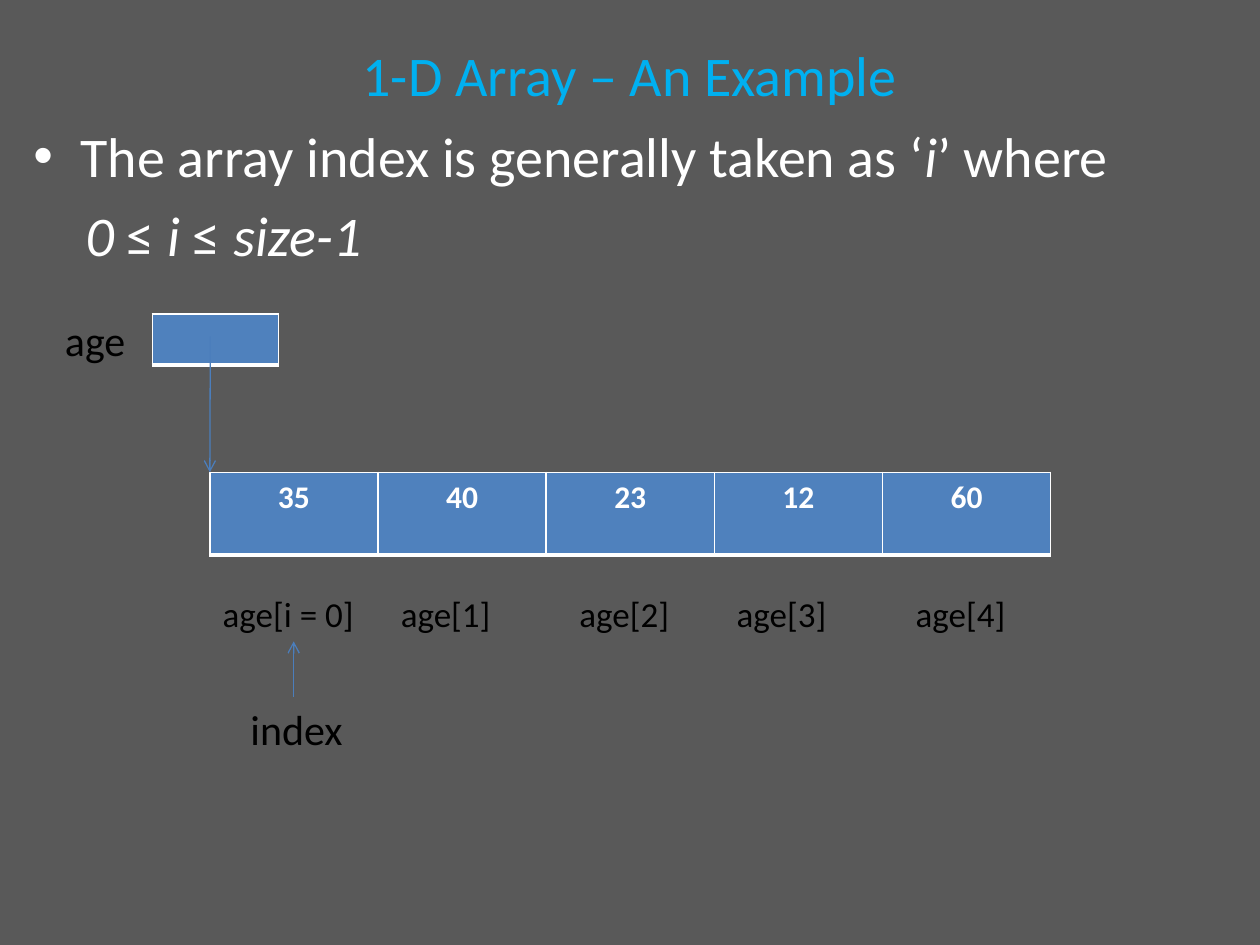
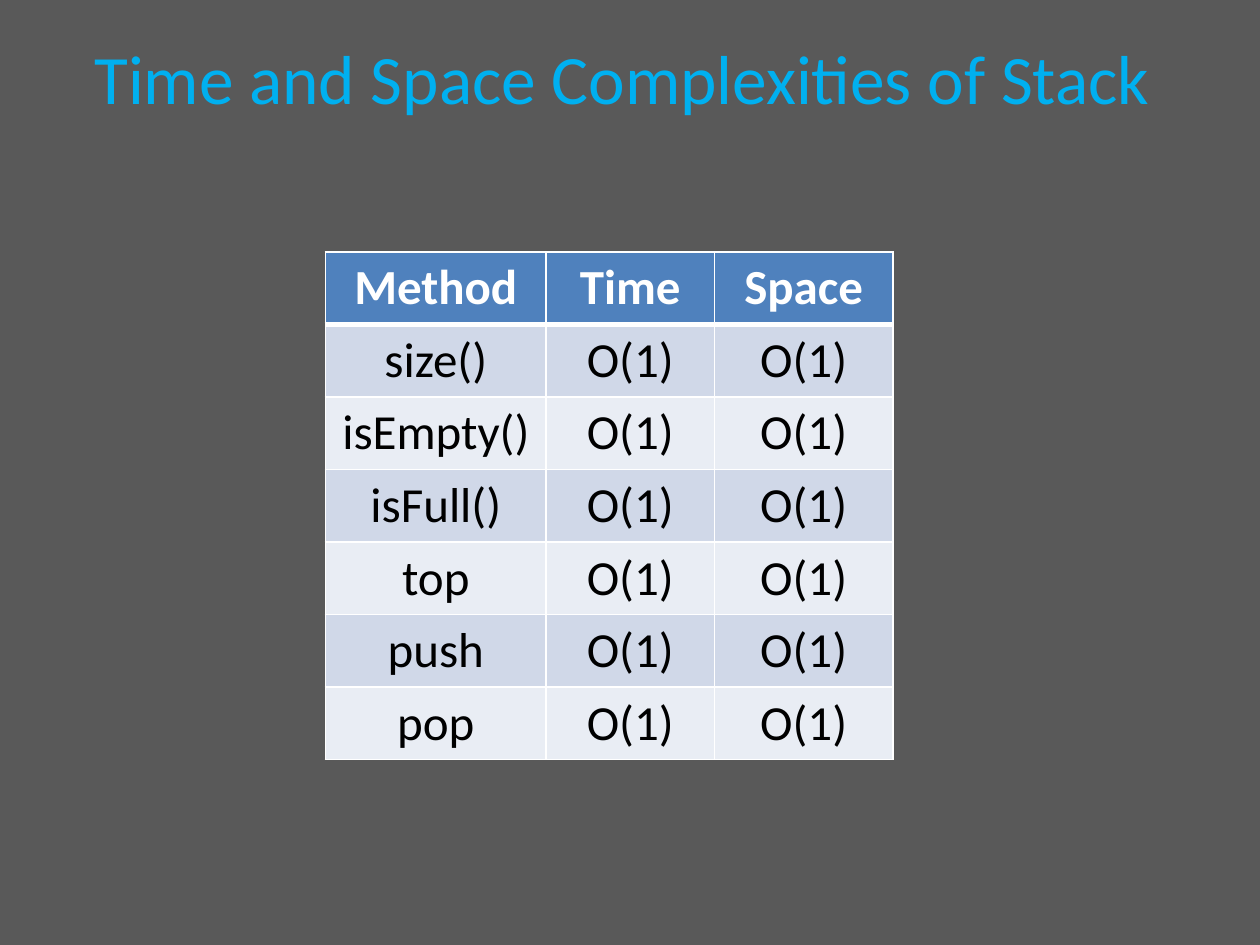
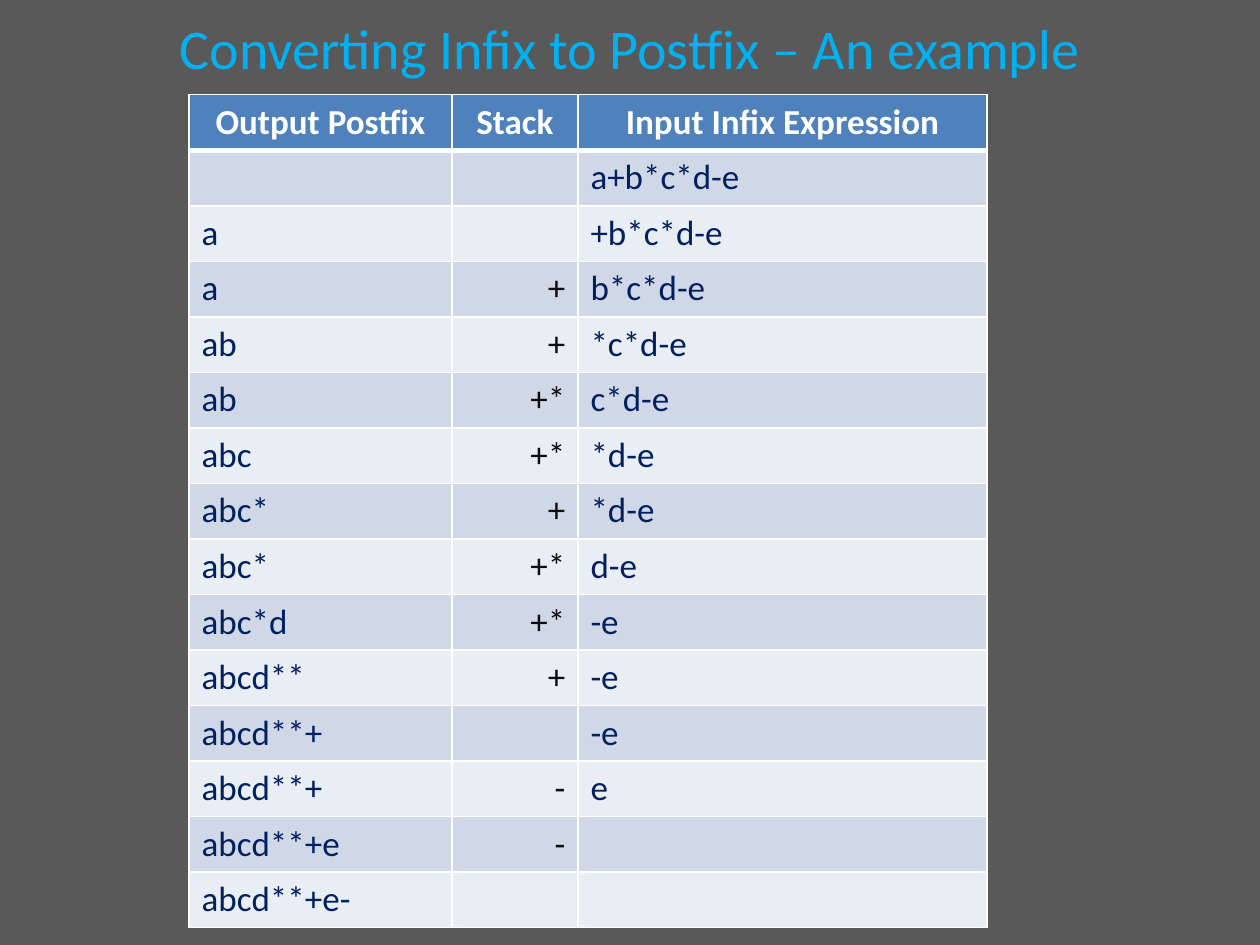
from lxml.etree import SubElement
from pptx import Presentation
from pptx.dml.color import RGBColor
from pptx.enum.shapes import MSO_CONNECTOR
from pptx.enum.text import MSO_ANCHOR, MSO_AUTO_SIZE, PP_ALIGN
from pptx.oxml.ns import qn
from pptx.util import Cm, Pt

FONT = "Calibri"
COLOURS = {
    "background": "595959", "title": "00B0F0", "white": "FFFFFF", "black": "000000",
    "header": "4F81BD", "odd": "D0D8E8", "even": "E9EDF4",
    "arrow": "4B7EBC", "expression": "002060", "stack": "0D0D0D",
}
LEFT, CENTER, RIGHT = PP_ALIGN.LEFT, PP_ALIGN.CENTER, PP_ALIGN.RIGHT
TITLE_ONLY, TITLE_AND_BODY = 5, 1

# Text and italic flag of each span
INDEX_RULE = [("The array index is generally taken as ‘", False), ("i", True),
              ("’ where", False)]
INDEX_RANGE = [("0 ", True), ("≤ ", False), ("i", True), (" ≤ ", False), ("size-1", True)]
AGES = ["35", "40", "23", "12", "60"]

# Text, left, top, width, height (cm), size (pt)
LABELS = [
    ("age", 1.06, 6.22, 2.2, 1.27, 24),
    ("age[i = 0]", 4.24, 11.81, 3.68, 1.12, 20),
    ("age[1]", 7.83, 11.81, 2.75, 1.12, 20),
    ("age[2]", 11.43, 11.81, 2.75, 1.12, 20),
    ("age[3]", 14.6, 11.81, 2.75, 1.12, 20),
    ("age[4]", 18.21, 11.81, 2.75, 1.12, 20),
    ("index", 4.8, 14.05, 3.1, 1.27, 24),
]
# Start x, start y, end x, end y (cm)
ARROWS = [(4.24, 6.78, 4.23, 9.52), (5.92, 14.05, 5.92, 12.93)]

METHODS = ["size()", "isEmpty()", "isFull()", "top", "push", "pop"]
COMPLEXITIES = [("Method", "Time", "Space")] + [(name, "O(1)", "O(1)") for name in METHODS]

CONVERSION = [
    ("Output Postfix", "Stack", "Input Infix Expression"),
    ("", "", "a+b*c*d-e"),
    ("a", "", "+b*c*d-e"),
    ("a", "+", "b*c*d-e"),
    ("ab", "+", "*c*d-e"),
    ("ab", "+*", "c*d-e"),
    ("abc", "+*", "*d-e"),
    ("abc*", "+", "*d-e"),
    ("abc*", "+*", "d-e"),
    ("abc*d", "+*", "-e"),
    ("abcd**", "+", "-e"),
    ("abcd**+", "", "-e"),
    ("abcd**+", "-", "e"),
    ("abcd**+e", "-", ""),
    ("abcd**+e-", "", ""),
]


def colour(name):
    return RGBColor.from_string(COLOURS[name])


def write(para, text, size, tint, **formats):
    span = para.add_run()
    span.text = text
    span.font.color.rgb = colour(tint)
    for key, value in {"name": FONT, "size": Pt(size), **formats}.items():
        setattr(span.font, key, value)


def place(shape, left, top, width, height):
    for key, value in zip(("left", "top", "width", "height"), (left, top, width, height)):
        setattr(shape, key, Cm(value))


def add_page(deck, layout, title, top, height, size):
    page = deck.slides.add_slide(deck.slide_layouts[layout])
    box = page.shapes.title
    place(box, 1.27, top, 22.86, height)
    frame = box.text_frame
    frame.auto_size = MSO_AUTO_SIZE.NONE
    frame.vertical_anchor = MSO_ANCHOR.MIDDLE
    write(frame.paragraphs[0], title, size, "title")
    return page


def add_borders(cell, row):
    """White cell edges, with a thick rule under the header row."""
    properties = cell._tc.get_or_add_tcPr()
    widths = {"a:lnL": 1, "a:lnR": 1, "a:lnT": 3 if row == 1 else 1, "a:lnB": 1 if row else 3}
    for tag, width in widths.items():
        edge = SubElement(properties, qn(tag), w=str(Pt(width)))
        fill = SubElement(edge, qn("a:solidFill"))
        SubElement(fill, qn("a:srgbClr"), val=COLOURS["white"])


def add_grid(page, left, top, widths, row_height, rows, size, columns=()):
    """Table with a header row; columns holds (alignment, colour) for the body cells."""
    frame = page.shapes.add_table(len(rows), len(widths), Cm(left), Cm(top),
                                  Cm(sum(widths)), Cm(row_height * len(rows)))
    table = frame.table
    for column, width in zip(table.columns, widths):
        column.width = Cm(width)
    for r, texts in enumerate(rows):
        table.rows[r].height = Cm(row_height)
        for c, text in enumerate(texts):
            cell = table.cell(r, c)
            add_borders(cell, r)
            cell.fill.solid()
            cell.fill.fore_color.rgb = colour(("odd" if r % 2 else "even") if r else "header")
            if text:
                align, tint = columns[c] if r else (CENTER, "white")
                para = cell.text_frame.paragraphs[0]
                para.alignment = align
                write(para, text, size, tint, bold=r == 0)


def add_label(page, text, left, top, width, height, size):
    box = page.shapes.add_textbox(Cm(left), Cm(top), Cm(width), Cm(height))
    frame = box.text_frame
    frame.word_wrap = True
    frame.auto_size = MSO_AUTO_SIZE.SHAPE_TO_FIT_TEXT
    frame.vertical_anchor = MSO_ANCHOR.MIDDLE
    write(frame.paragraphs[0], text, size, "black")


def add_arrow(page, *ends):
    arrow = page.shapes.add_connector(MSO_CONNECTOR.STRAIGHT, *map(Cm, ends))
    arrow.line.color.rgb = colour("arrow")
    arrow.line.width = Pt(0.75)
    SubElement(arrow.line._get_or_add_ln(), qn("a:tailEnd"), type="arrow")
    SubElement(arrow._element.spPr, qn("a:effectLst"))


def fill_body(body):
    place(body, 0.42, 2.33, 24.55, 16.3)
    frame = body.text_frame
    frame.auto_size = MSO_AUTO_SIZE.NONE
    rule, limits = frame.paragraphs[0], frame.add_paragraph()
    rule.space_before = Pt(0)
    properties = limits._p.get_or_add_pPr()
    properties.set("marL", str(Cm(1.05)))
    properties.set("indent", "0")
    SubElement(properties, qn("a:buNone"))
    for para, spans in ((rule, INDEX_RULE), (limits, INDEX_RANGE)):
        for text, italic in spans:
            write(para, text, 32, "white", italic=italic)


def build_array(deck):
    page = add_page(deck, TITLE_AND_BODY, "1-D Array – An Example", 0.64, 1.69, 32)
    fill_body(page.placeholders[1])
    add_grid(page, 4.23, 9.52, [3.39] * len(AGES), 1.67, [AGES], 18)
    add_grid(page, 3.07, 6.33, [2.54], 1.02, [[""]], 18)
    for label in LABELS:
        add_label(page, *label)
    for arrow in ARROWS:
        add_arrow(page, *arrow)


def build_complexities(deck):
    page = add_page(deck, TITLE_ONLY, "Time and Space Complexities of Stack ", 0.76, 1.57, 39.6)
    add_grid(page, 6.56, 5.08, [4.45, 3.39, 3.6], 1.46, COMPLEXITIES, 28,
             [(CENTER, "black")] * 3)


def build_conversion(deck):
    page = add_page(deck, TITLE_ONLY, "Converting Infix to Postfix – An example", 0.21, 1.48, 32)
    add_grid(page, 3.81, 1.91, [5.3, 2.54, 8.25], 1.11, CONVERSION, 20,
             [(LEFT, "expression"), (RIGHT, "stack"), (LEFT, "expression")])


def main():
    deck = Presentation()
    deck.slide_width, deck.slide_height = Cm(25.4), Cm(19.05)
    background = deck.slide_master.background.fill
    background.solid()
    background.fore_color.rgb = colour("background")
    for build in (build_array, build_complexities, build_conversion):
        build(deck)
    deck.save("out.pptx")


if __name__ == "__main__":
    main()
